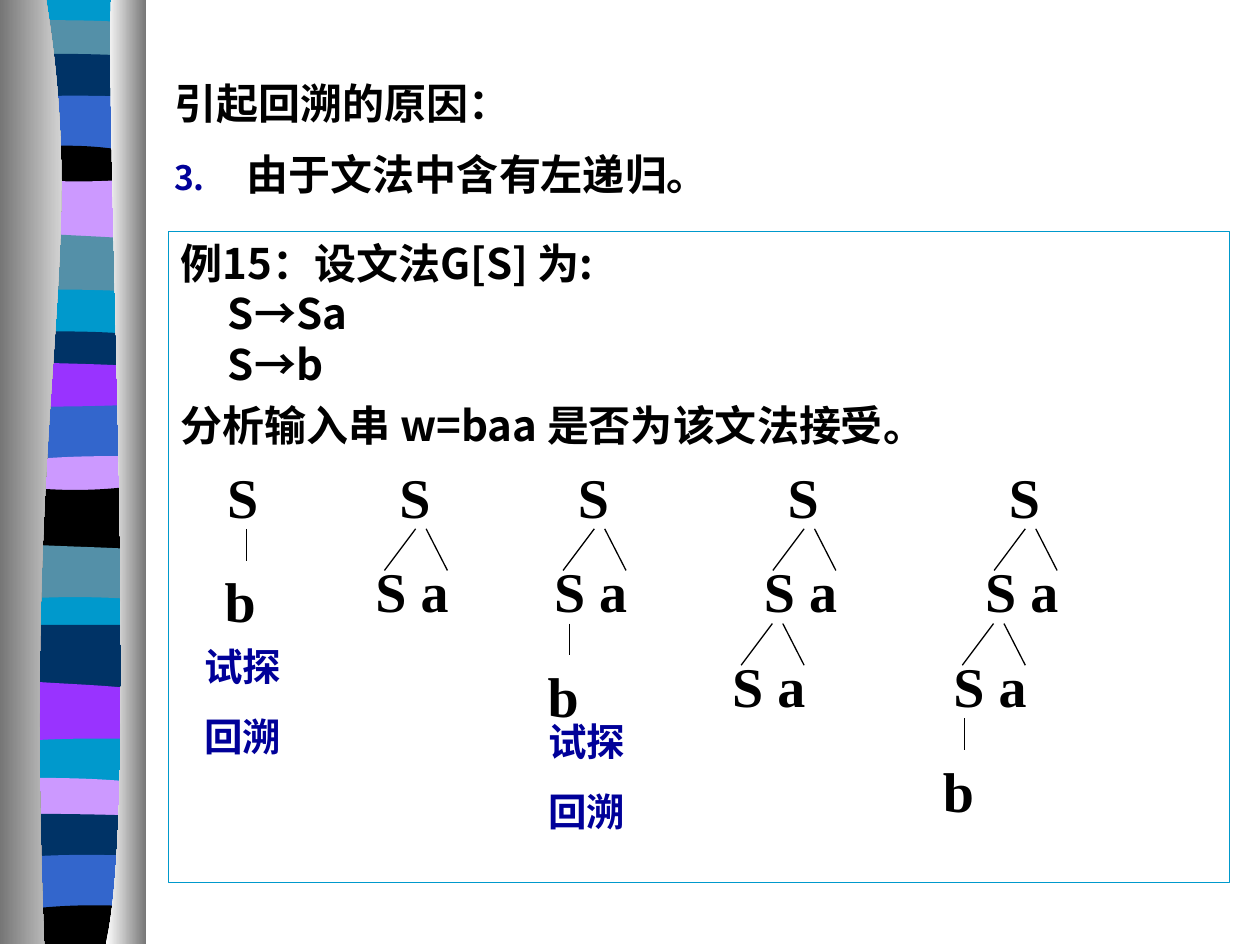
from dataclasses import dataclass

from lxml.etree import SubElement
from pptx import Presentation
from pptx.dml.color import RGBColor
from pptx.enum.shapes import MSO_CONNECTOR as Connector
from pptx.enum.text import MSO_ANCHOR as Anchor, PP_ALIGN as Align
from pptx.oxml.ns import qn
from pptx.slide import Slide
from pptx.util import Cm, Pt

SANS, SERIF = "Noto Sans CJK SC", "Times New Roman"
BLACK, INK, CYAN, TEAL = "000000", "000099", "0099CC", "5490A8"
NAVY, BLUE, LILAC, PURPLE = "003366", "3366CC", "CC99FF", "9933FF"
GRAY, WHITE = "767676", "FFFFFF"

RIBBON_LEFT, RIBBON_RIGHT, RIBBON_BOTTOM = 0.18, 2.85, 19.03
OVERLAP = 0.2
BANDS = [
    (TEAL, 0.42, 0.4, 0.47), (NAVY, 1.09, 1.08, 1.14),
    (BLUE, 1.96, 1.92, 1.96), (BLACK, 3.02, 2.9, 3.1), (LILAC, 3.58, 3.68, 3.6),
    (TEAL, 4.65, 4.75, 4.83), (CYAN, 5.85, 5.83, 5.89), (NAVY, 6.7, 6.67, 6.75),
    (PURPLE, 7.29, 7.33, 7.39), (BLUE, 8.2, 8.2, 8.15), (LILAC, 9.32, 9.19, 9.2),
    (BLACK, 9.78, 9.91, 9.78), (TEAL, 10.95, 11.02, 11.08), (CYAN, 12.09, 12.02, 12.09),
    (NAVY, 12.6, 12.6, 12.6), (PURPLE, 13.7, 13.79, 13.9), (CYAN, 14.96, 14.88, 14.9),
    (LILAC, 15.68, 15.68, 15.78), (NAVY, 16.4, 16.41, 16.45),
    (BLUE, 17.3, 17.22, 17.26), (BLACK, 18.39, 18.23, 18.28),
]
TREE_TOP, LEVEL_SHIFT, LEVEL_HEIGHT = 9.19, 0.64, 1.91
TREES = [(4.33, 0, 0.64), (7.8, 1, None), (11.4, 1, 0.72),
         (15.63, 2, None), (20.09, 2, 0.64)]
VERDICTS = [(3.87, 12.83), (10.8, 14.35)]


def color(value):
    return RGBColor.from_string(value)


def band_edge(left, middle, right):
    """Return the four control points of a band's wavy edge."""
    return [(RIBBON_LEFT, left), (1.07, middle), (1.96, middle), (RIBBON_RIGHT, right)]


def write(paragraph, text, size=24, font=SANS, ink=BLACK, before=0, spacing=None,
          hang=0, number=None):
    """Fill a paragraph with formatted text."""
    paragraph.text = text
    paragraph.alignment = Align.LEFT
    paragraph.space_before = Pt(before)
    if spacing:
        paragraph.line_spacing = spacing
    properties = paragraph._p.get_or_add_pPr()
    properties.set("marL", str(Cm(hang)))
    properties.set("indent", str(-Cm(hang)))
    if number:
        tint = SubElement(properties, qn("a:buClr"))
        SubElement(tint, qn("a:srgbClr"), val=INK)
        SubElement(properties, qn("a:buSzPct"), val="80000")
        SubElement(properties, qn("a:buAutoNum"), type="arabicPeriod", startAt=str(number))
    else:
        SubElement(properties, qn("a:buNone"))
    for run in paragraph.runs:
        run.font.size, run.font.bold, run.font.name = Pt(size), True, font
        run.font.color.rgb = color(ink)
        SubElement(run._r.get_or_add_rPr(), qn("a:ea"), typeface=font)


@dataclass
class Board:
    """Hold the current slide and its line style."""
    slide: Slide
    line_color: str = BLACK
    line_width: float = 0.75

    def outline(self, points, fill, fade=None, curves=()):
        (left, top), *rest = [(Cm(x), Cm(y)) for x, y in points]
        builder = self.slide.shapes.build_freeform(left, top)
        builder.add_line_segments(rest)
        shape = builder.convert_to_shape()
        segments = list(shape._element.iter(qn("a:lnTo")))
        for first in curves:
            curve = segments[first]
            curve.tag = qn("a:cubicBezTo")
            for segment in segments[first + 1:first + 3]:
                curve.append(segment[0])
                segment.getparent().remove(segment)
        shape.shadow.inherit = False
        shape.line.fill.background()
        if fade:
            shape.fill.gradient()
            shape.fill.gradient_angle = 0
            for stop, tint in zip(shape.fill.gradient_stops, (fill, fade)):
                stop.color.rgb = color(tint)
        else:
            shape.fill.solid()
            shape.fill.fore_color.rgb = color(fill)

    def ribbon(self):
        self.outline([(RIBBON_LEFT, 0), (RIBBON_RIGHT, 0), (RIBBON_RIGHT, RIBBON_BOTTOM),
                      (RIBBON_LEFT, RIBBON_BOTTOM)], CYAN)
        for (fill, *tops), (below, *floors) in zip(BANDS, BANDS[1:]):
            if fill != CYAN:
                extra = 0 if below == CYAN else OVERLAP
                floor = band_edge(*[height + extra for height in floors])
                self.outline(band_edge(*tops) + floor[::-1], fill, curves=(0, 4))
        fill, *tops = BANDS[-1]
        self.outline(band_edge(*tops) + [(RIBBON_RIGHT, RIBBON_BOTTOM),
                                         (RIBBON_LEFT, RIBBON_BOTTOM)], fill, curves=(0,))
        self.outline([(0.93, 0), (1.82, 5.49), (0.44, 7.52), (0.89, RIBBON_BOTTOM),
                      (0, RIBBON_BOTTOM), (0, 0)], GRAY, WHITE, curves=(0,))
        self.outline([(2.24, 0), (2.13, 3.18), (2.82, 16.41), (2.13, RIBBON_BOTTOM),
                      (2.95, RIBBON_BOTTOM), (2.95, 0)], WHITE, GRAY, curves=(0,))

    def text(self, left, top, width, height, lines, wrap=False):
        box = self.slide.shapes.add_textbox(Cm(left), Cm(top), Cm(width), Cm(height))
        box.text_frame.word_wrap = wrap
        self.fill_frame(box.text_frame, lines)

    def fill_frame(self, frame, lines):
        for index, (text, style) in enumerate(lines):
            paragraph = frame.add_paragraph() if index else frame.paragraphs[0]
            write(paragraph, text, **style)

    def body(self, left, top, width, height, lines):
        shape = self.slide.placeholders[1]
        shape.left, shape.top, shape.width, shape.height = map(Cm, (left, top, width, height))
        shape.line.color.rgb = color(CYAN)
        shape.line.width = Pt(self.line_width)
        shape.text_frame.vertical_anchor = Anchor.TOP
        self.fill_frame(shape.text_frame, lines)
        tree = self.slide.shapes._spTree
        tree.remove(shape._element)
        tree.append(shape._element)

    def line(self, x1, y1, x2, y2):
        connector = self.slide.shapes.add_connector(
            Connector.STRAIGHT, Cm(x1), Cm(y1), Cm(x2), Cm(y2))
        connector.line.color.rgb = color(self.line_color)
        connector.line.width = Pt(self.line_width)
        SubElement(connector._element.spPr, qn("a:effectLst"))

    def symbol(self, left, top, text, width=1.14):
        self.text(left, top, width, 1.63, [(text, dict(size=32, font=SERIF))])

    def parse_tree(self, left, levels, stem):
        self.symbol(left, TREE_TOP, "S")
        top = TREE_TOP
        for _ in range(levels):
            self.symbol(left - 0.48, top + LEVEL_HEIGHT, "S a", 1.98)
            self.line(left + 0.58, top + 1.47, left - 0.05, top + 2.31)
            self.line(left + 0.79, top + 1.47, left + 1.22, top + 2.31)
            left, top = left - LEVEL_SHIFT, top + LEVEL_HEIGHT
        if stem:
            self.symbol(left + stem - 0.69, top + 2.11, "b")
            self.line(left + stem, top + 1.47, left + stem, top + 2.11)


def main():
    presentation = Presentation()
    presentation.slide_width, presentation.slide_height = Cm(25.4), Cm(19.05)
    slide = presentation.slides.add_slide(presentation.slide_layouts[1])
    title = slide.shapes.title
    title._element.getparent().remove(title._element)
    board = Board(slide)
    board.ribbon()
    board.body(3.39, 4.66, 21.39, 13.13, [
        ("例15：设文法G[S] 为:\vS→Sa\vS→b", dict(hang=0.95)),
        ("分析输入串 w=baa 是否为该文法接受。", dict(hang=0.95, before=6)),
    ])
    board.text(3.26, 1.28, 21.51, 3.18, [
        ("引起回溯的原因：", dict(hang=1.47, spacing=1.15)),
        ("由于文法中含有左递归。", dict(hang=1.47, spacing=1.15, before=7.5, number=3)),
    ], wrap=True)
    for tree in TREES:
        board.parse_tree(*tree)
    for left, top in VERDICTS:
        board.text(left, top, 2.06, 2.62, [
            ("试探", dict(size=22, ink=INK)),
            ("回溯", dict(size=22, ink=INK, before=13.8)),
        ])
    presentation.save("out.pptx")


if __name__ == "__main__":
    main()
